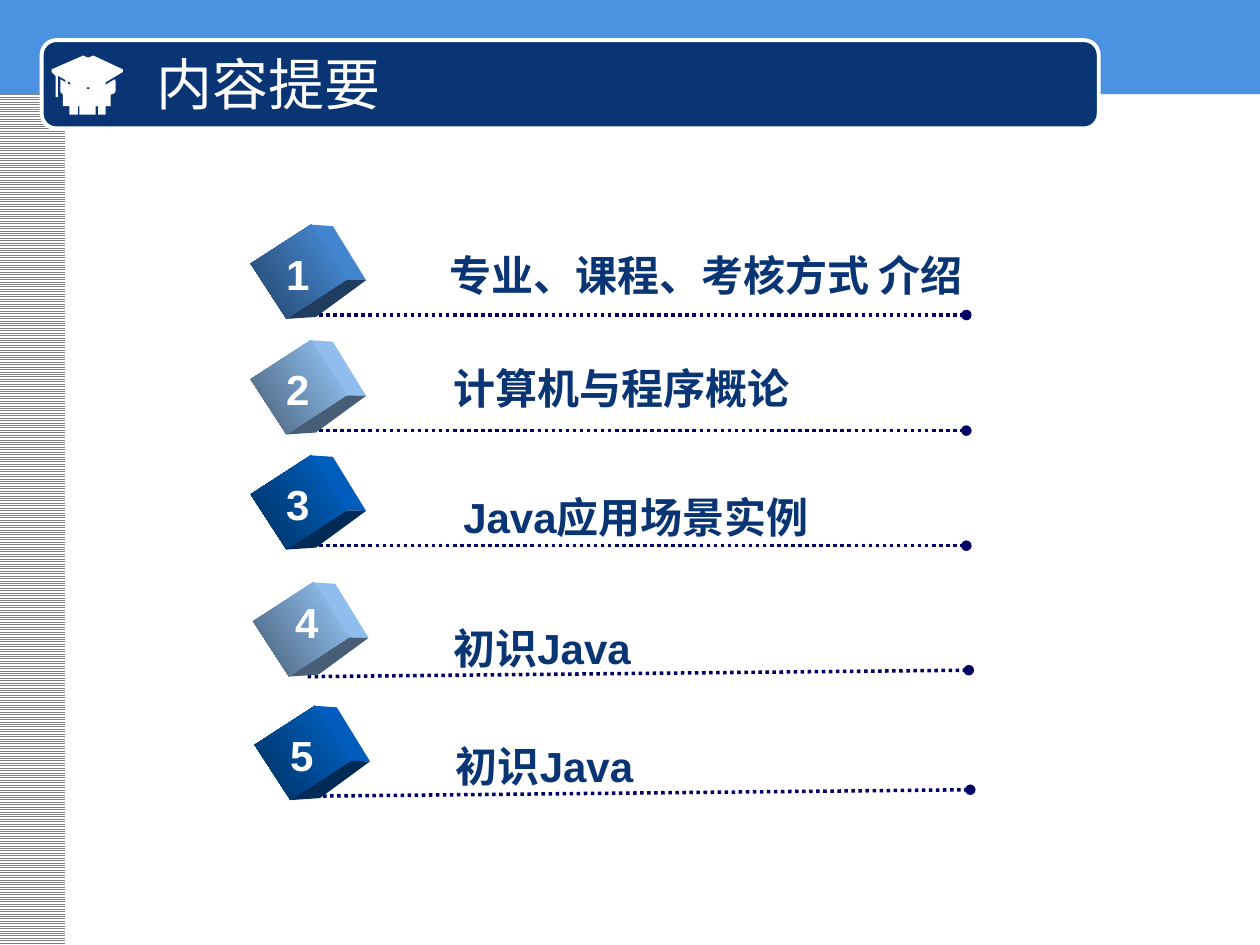
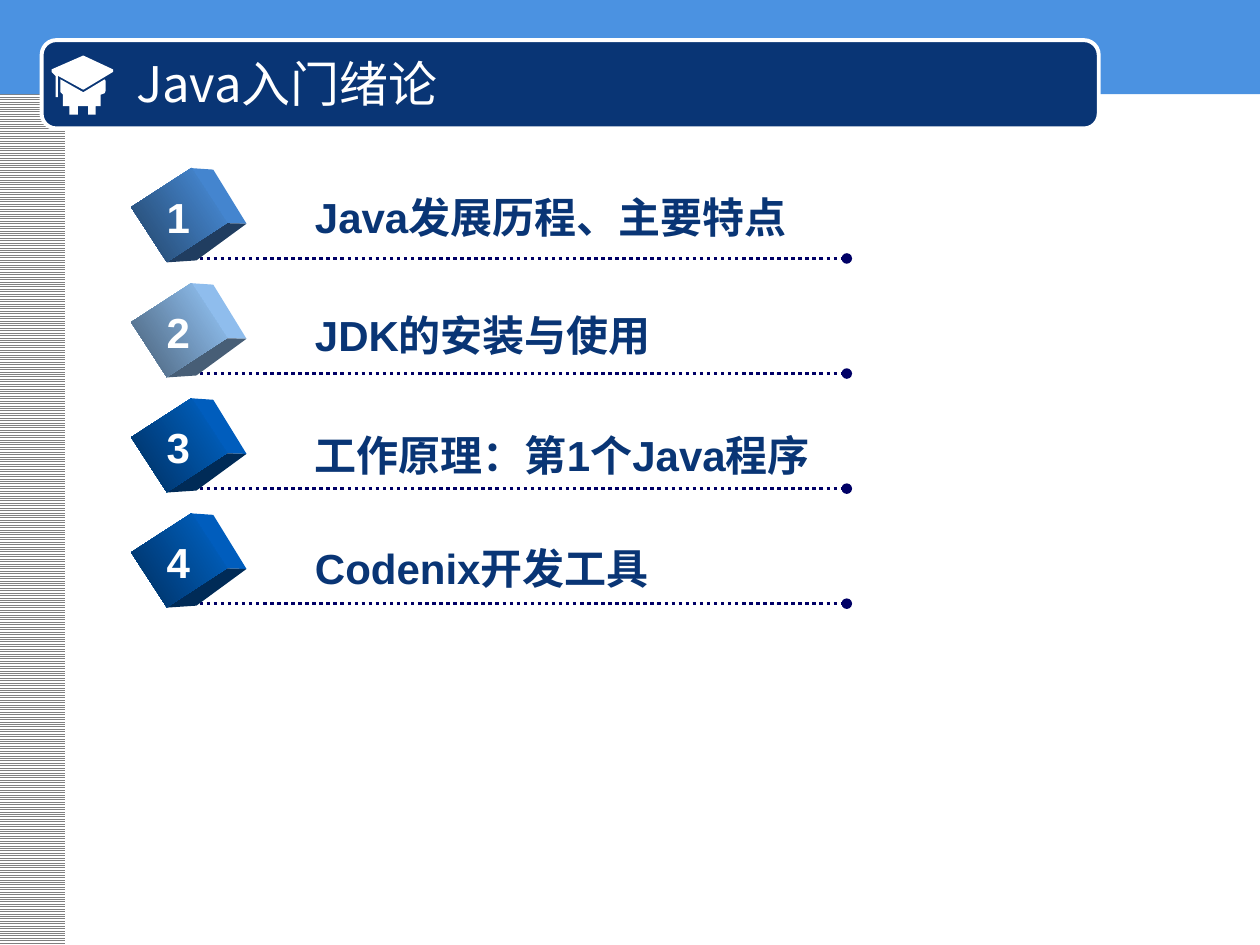
import dataclasses

import lxml.etree
import pptx
import pptx.dml.color
import pptx.enum.dml
import pptx.enum.shapes
import pptx.enum.text
import pptx.oxml.ns
import pptx.util

Cm = pptx.util.Cm
SHAPES = pptx.enum.shapes.MSO_SHAPE
ALIGN = pptx.enum.text.PP_ALIGN

WHITE, NAVY, SKY, RULE = "FFFFFF", "093575", "4B92E1", "000066"
LATIN_FONT, CJK_FONT = "Arial", "Noto Sans CJK SC"

# Cube colours: light and dark end of the front, right side, underside
BLUE = (SKY, "234468", "4485CF", "203D60")
PALE = ("99CCFF", "475E76", "8FBDED", "475E76")
DEEP = ("0066CC", "002F5E", "005DBD", "002B57")

# Outlines in cm, relative to the box of their icon
CUBE_SIDE = [(0.91, -0.22), (1.35, -0.19), (2.02, 0.9), (1.63, 0.89)]
CUBE_UNDERSIDE = [(1.63, 0.89), (2.02, 0.9), (1.01, 1.64), (0.41, 1.68)]
CAP_BOARD = [
    (0, 0.33), (0.08, 0.41), (0.08, 0.84), (0.13, 0.84), (0.13, 0.41),
    (0.64, 0.69), (1.24, 0.33), (1.24, 0.28), (0.64, 0), (0, 0.28),
]
CAP_BASE = [
    (0.99, 0.79), (1.07, 0.76), (1.09, 0.71), (1.09, 0.51), (1.07, 0.48),
    (0.64, 0.74), (0.18, 0.48), (0.18, 0.74), (0.23, 0.79), (0.23, 1.02),
    (0.36, 1.02), (0.36, 1.19), (0.53, 1.19), (0.53, 1.02), (0.74, 1.02),
    (0.74, 1.19), (0.89, 1.19), (0.89, 1.02), (0.99, 1.02),
]
CAP_TOP = 1.12


@dataclasses.dataclass
class Topic:
    """One agenda row; offsets are relative to its cube."""
    text: str
    colours: tuple
    left: float
    top: float
    text_box: tuple  # left, top, width
    number_at: tuple = (0.15, 0.13)
    rule_tops: tuple = (1.6, 1.6)  # start, end


# ---------- Helpers ----------
def rgb(hex_colour):
    return pptx.dml.color.RGBColor.from_string(hex_colour)


def write_text(shape, text, size=24, colour=NAVY, bold=True, font=LATIN_FONT,
               align=ALIGN.LEFT, wrap=True, anchor=None, grow=True):
    frame = shape.text_frame
    frame.word_wrap = wrap
    sizing = pptx.enum.text.MSO_AUTO_SIZE
    frame.auto_size = sizing.SHAPE_TO_FIT_TEXT if grow else sizing.NONE
    if anchor is not None:
        frame.vertical_anchor = anchor
    paragraph = frame.paragraphs[0]
    paragraph.alignment = align
    run = paragraph.add_run()
    run.text = text
    run.font.size = pptx.util.Pt(size)
    run.font.bold = bold
    run.font.name = font
    run.font.color.rgb = rgb(colour)
    east_asian = lxml.etree.Element(pptx.oxml.ns.qn("a:ea"), typeface=CJK_FONT)
    run.font._element.find(pptx.oxml.ns.qn("a:latin")).addnext(east_asian)


def add_text(slide, text, left, top, width, **text_format):
    box = slide.shapes.add_textbox(Cm(left), Cm(top), Cm(width), Cm(1.27))
    write_text(box, text, **text_format)


def paint(shape, fill=None):
    shape.shadow.inherit = False
    shape.line.fill.background()
    if fill:
        shape.fill.solid()
        shape.fill.fore_color.rgb = rgb(fill)
    return shape


def add_block(slide, kind, left, top, width, height, fill=None):
    return paint(slide.shapes.add_shape(
        kind, Cm(left), Cm(top), Cm(width), Cm(height)), fill)


def add_outline(slide, points, left, top, fill):
    corners = [(Cm(left + x), Cm(top + y)) for x, y in points]
    builder = slide.shapes.build_freeform(*corners[0], scale=1.0)
    builder.add_line_segments(corners[1:], close=True)
    return paint(builder.convert_to_shape(), fill)


# ---------- Shared frame ----------
def add_cap(slide, left, top):
    return [add_outline(slide, part, left, top, WHITE)
            for part in (CAP_BOARD, CAP_BASE)]


def move_frame_to_layout(slide):
    """Build bands and cap, then place them on the slide's layout."""
    layout = slide.slide_layout
    title_type = pptx.enum.shapes.PP_PLACEHOLDER.TITLE
    for placeholder in list(layout.placeholders):
        if placeholder.placeholder_format.type != title_type:
            layout.shapes.element.remove(placeholder.element)

    stripes = add_block(slide, SHAPES.RECTANGLE, -0.02, 0, 1.34, 19.05)
    stripes.fill.patterned()
    stripes.fill.pattern = pptx.enum.dml.MSO_PATTERN.LIGHT_HORIZONTAL
    stripes.fill.fore_color.rgb = rgb("808080")
    stripes.fill.back_color.rgb = rgb(WHITE)

    top_band = add_block(slide, SHAPES.RECTANGLE, 0, 0, 25.42, 1.9, SKY)

    title_bar = add_block(
        slide, SHAPES.ROUNDED_RECTANGLE, 0.84, 0.81, 21.31, 1.78, NAVY)
    title_bar.line.color.rgb = rgb(WHITE)
    title_bar.line.width = pptx.util.Pt(2.25)

    for part in [stripes, top_band, title_bar, *add_cap(slide, 1.04, CAP_TOP)]:
        layout.shapes.element.append(part.element)


def set_title(slide, text, left, size):
    title = slide.shapes.title
    title.left, title.top = Cm(left), Cm(0.89)
    title.width, title.height = Cm(21.79 - left), Cm(1.57)
    write_text(title, text, size=size, colour=WHITE, bold=False, font=CJK_FONT,
               anchor=pptx.enum.text.MSO_ANCHOR.MIDDLE, grow=False)


# ---------- Agenda ----------
def add_cube(slide, left, top, colours):
    light, dark, side, underside = colours
    add_outline(slide, CUBE_SIDE, left, top, side)
    add_outline(slide, CUBE_UNDERSIDE, left, top, underside)
    front = add_block(slide, SHAPES.RECTANGLE, left, top, 1.32, 1.45)
    front.rotation = 57
    front.fill.gradient()
    front.fill.gradient_angle = 270
    for stop, colour in zip(front.fill.gradient_stops, (light, dark)):
        stop.color.rgb = rgb(colour)


def add_dotted_rule(slide, left, start_top, end_top):
    rule = slide.shapes.add_connector(
        pptx.enum.shapes.MSO_CONNECTOR.STRAIGHT,
        Cm(left), Cm(start_top), Cm(left + 13.33), Cm(end_top))
    rule.line.color.rgb = rgb(RULE)
    rule.line.width = pptx.util.Pt(2)
    rule.line.dash_style = pptx.enum.dml.MSO_LINE.ROUND_DOT
    qn = pptx.oxml.ns.qn
    line = rule.line._get_or_add_ln()
    lxml.etree.SubElement(line, qn("a:tailEnd"), type="oval")
    line.addnext(lxml.etree.Element(qn("a:effectLst")))


def add_topic(slide, number, topic):
    left, top = topic.left, topic.top
    start, end = topic.rule_tops
    add_dotted_rule(slide, left + 0.79, top + start, top + end)
    add_cube(slide, left, top, topic.colours)
    number_left, number_top = topic.number_at
    add_text(slide, str(number), left + number_left, top + number_top, 0.99,
             colour=WHITE, align=ALIGN.CENTER, wrap=False)
    text_left, text_top, text_width = topic.text_box
    add_text(slide, topic.text, left + text_left, top + text_top, text_width)


def add_agenda(slide, topics):
    for number, topic in enumerate(topics, start=1):
        add_topic(slide, number, topic)


CONTENTS = [
    Topic("专业、课程、考核方式 介绍", BLUE, 5.36, 4.75, (3.45, 0.15, 11.51)),
    Topic("计算机与程序概论", PALE, 5.36, 7.08, (3.53, 0.1, 10.62)),
    Topic("Java应用场景实例", DEEP, 5.36, 9.4, (3.73, 0.38, 9.98)),
    Topic("初识Java", PALE, 5.41, 11.96, (3.48, 0.46, 9.98),
          number_at=(0.28, -0.05), rule_tops=(1.68, 1.55)),
    Topic("初识Java", DEEP, 5.44, 14.45, (3.5, 0.36, 9.98),
          rule_tops=(1.6, 1.47)),
]

# Text, cube colours, text offset, text width
INTRODUCTION = [
    ("Java发展历程、主要特点", BLUE, 0.13, 10.41),
    ("JDK的安装与使用", PALE, 0.18, 8),
    ("工作原理：第1个Java程序", DEEP, 0.28, 11.4),
    ("Codenix开发工具", DEEP, 0.25, 11.4),
]


def main():
    deck = pptx.Presentation()
    deck.slide_width, deck.slide_height = Cm(25.4), Cm(19.05)
    title_only = deck.slide_layouts[5]

    contents = deck.slides.add_slide(title_only)
    move_frame_to_layout(contents)
    set_title(contents, "内容提要", left=2.9, size=32)
    add_cap(contents, 1.24, CAP_TOP)
    add_agenda(contents, CONTENTS)

    introduction = deck.slides.add_slide(title_only)
    set_title(introduction, "Java入门绪论", left=2.49, size=28)
    add_agenda(introduction, [
        Topic(text, colours, 2.95, 3.61 + row * 2.32, (3.15, offset, width))
        for row, (text, colours, offset, width) in enumerate(INTRODUCTION)
    ])

    deck.save("out.pptx")


if __name__ == "__main__":
    main()
